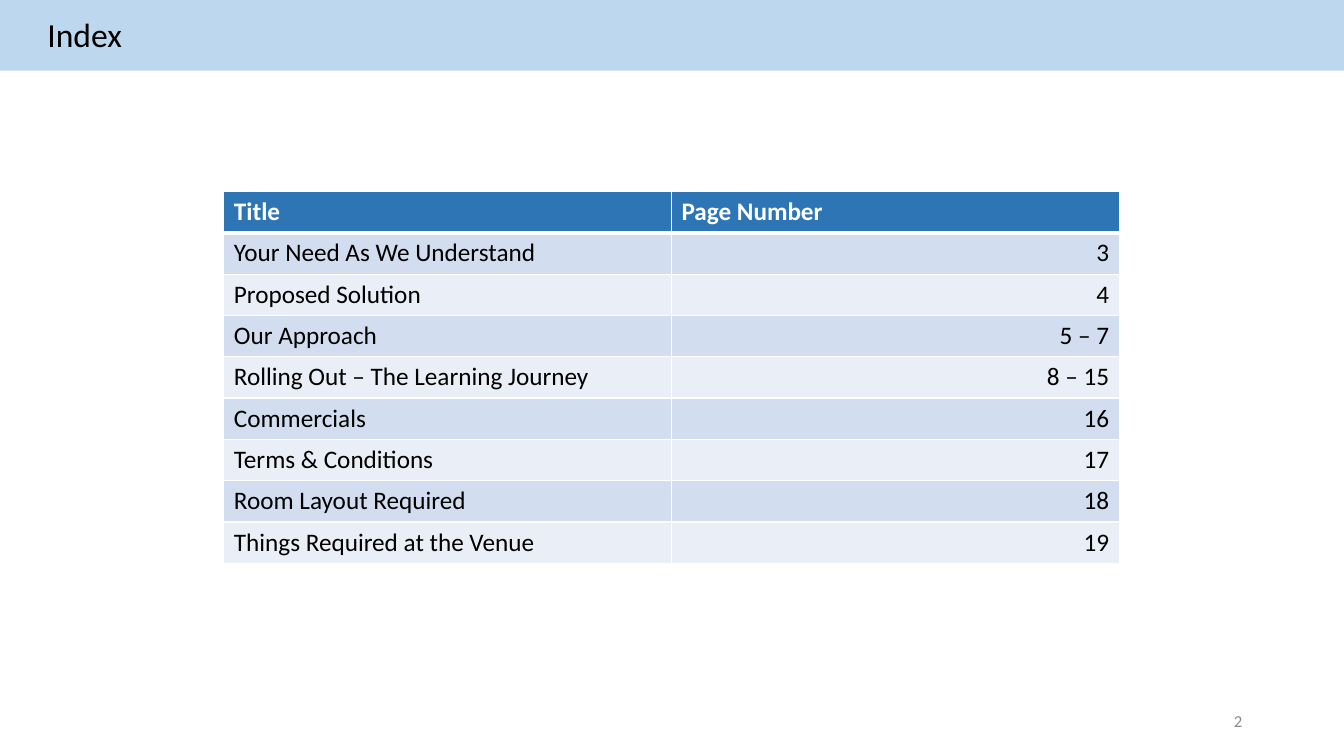
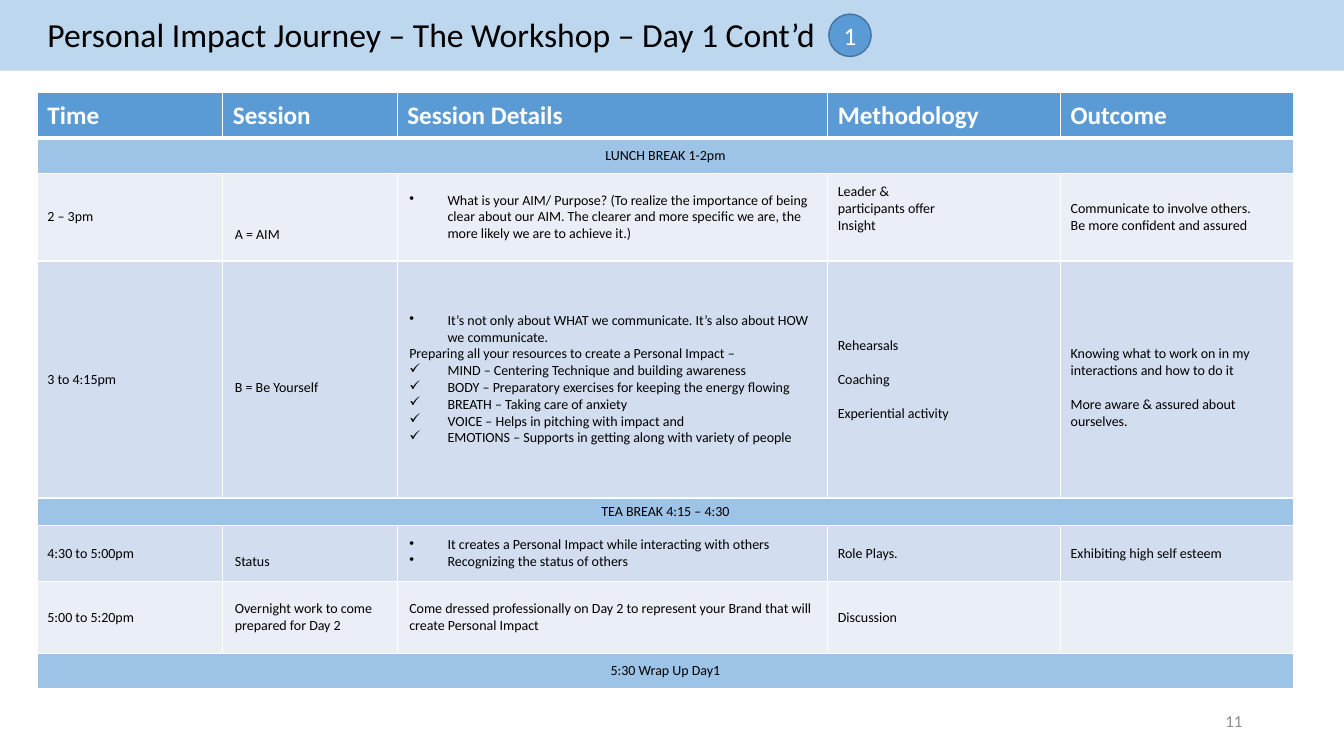
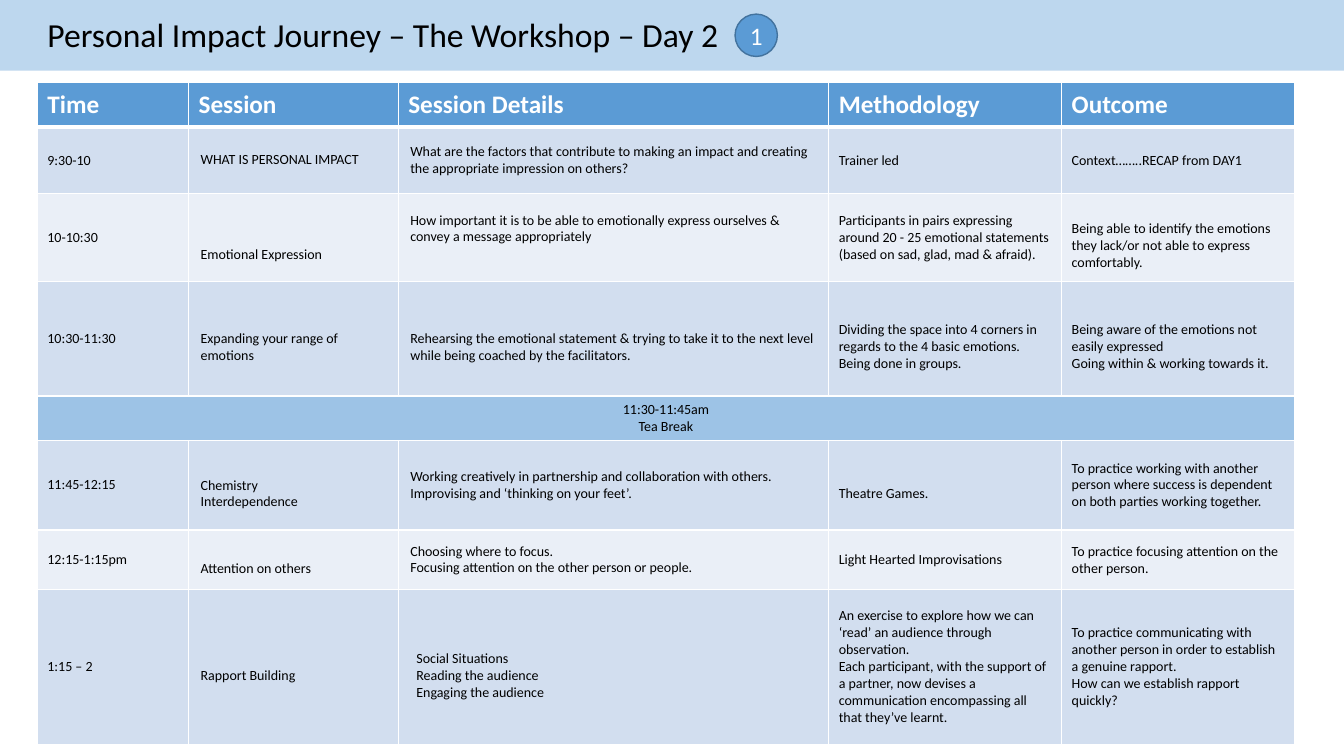
from lxml.etree import SubElement
from pptx import Presentation
from pptx.dml.color import RGBColor
from pptx.enum.shapes import MSO_SHAPE
from pptx.enum.text import MSO_ANCHOR, PP_ALIGN
from pptx.oxml import parse_xml
from pptx.oxml.ns import nsdecls, qn
from pptx.util import Inches, Pt

FONT = "Calibri"
BLACK = RGBColor(0x00, 0x00, 0x00)
WHITE = RGBColor(0xFF, 0xFF, 0xFF)
GRAY = RGBColor(0x8C, 0x8C, 0x8C)
TITLE_BAND = RGBColor(0xBD, 0xD7, 0xEE)
BLUE = RGBColor(0x5B, 0x9B, 0xD5)
DARK_BLUE = RGBColor(0x2E, 0x75, 0xB6)
BADGE_LINE = RGBColor(0x43, 0x73, 0x9E)
BREAK_ROW = RGBColor(0x9D, 0xC3, 0xE6)
STRIPES = (RGBColor(0xEA, 0xEF, 0xF7), RGBColor(0xD2, 0xDE, 0xEF))  # even, odd rows

LINE = 0.17  # height of one 10 pt line, in inches
PAD = 0.05
BULLETS = "•✓"
HANG = Inches(0.38)

INDEX = [
    ("Title", "Page Number"),
    ("Your Need As We Understand", "3"),
    ("Proposed Solution", "4"),
    ("Our Approach", "5 – 7"),
    ("Rolling Out – The Learning Journey", "8 – 15"),
    ("Commercials", "16"),
    ("Terms & Conditions", "17"),
    ("Room Layout Required", "18"),
    ("Things Required at the Venue", "19"),
]

# A cell is its text, or (text, lines it is pushed down; negative pushes up).
# A row with one cell spans the table. An empty line is a gap before the next
# paragraph; a leading ">" marks a small indent.
HEADER = ("Time", "Session", "Session Details", "Methodology", "Outcome")
DAY_1 = [
    HEADER,
    ("LUNCH BREAK 1-2pm",),
    ("2 – 3pm", ("A = AIM", 2),
     "•What is your AIM/ Purpose? (To realize the importance of being clear about our AIM. "
     "The clearer and more specific we are, the more likely we are to achieve it.)",
     ("Leader &\nparticipants offer\nInsight", -1),
     "Communicate to involve others.\nBe more confident and assured"),
    ("3 to 4:15pm", ("B = Be Yourself", 1),
     "•It’s not only about WHAT we communicate. It’s also about HOW we communicate.\n"
     "Preparing all your resources to create a Personal Impact –\n"
     "✓MIND – Centering Technique and building awareness\n"
     "✓BODY – Preparatory exercises for keeping the energy flowing\n"
     "✓BREATH – Taking care of anxiety\n"
     "✓VOICE – Helps in pitching with impact and\n"
     "✓EMOTIONS – Supports in getting along with variety of people",
     "Rehearsals\n\nCoaching\n\nExperiential activity",
     ("Knowing what to work on in my interactions and how to do it\n\n"
      "More aware & assured about ourselves.", 1)),
    ("TEA BREAK 4:15 – 4:30",),
    ("4:30 to 5:00pm", ("Status", 1),
     "•It creates a Personal Impact while interacting with others\n"
     "•Recognizing the status of others",
     "Role Plays.", "Exhibiting high self esteem"),
    ("5:00 to 5:20pm", "Overnight work to come prepared for Day 2",
     "Come dressed professionally on Day 2 to represent your Brand that will "
     "create Personal Impact",
     "Discussion", ""),
    ("5:30 Wrap Up Day1",),
]
DAY_2 = [
    HEADER,
    ("9:30-10", "WHAT IS PERSONAL IMPACT",
     "What are the factors that contribute to making an impact and creating "
     "the appropriate impression on others?",
     "Trainer led", "Context……..RECAP from DAY1"),
    ("10-10:30", ("Emotional Expression", 2),
     ("How important it is to be able to emotionally express ourselves & "
      "convey a message appropriately", -1),
     "Participants in pairs expressing around 20 - 25 emotional statements "
     "(based on sad, glad, mad & afraid).",
     ("Being able to identify the emotions they lack/or not able to express comfortably.", 1)),
    ("10:30-11:30", ("Expanding your range of emotions", 1),
     ("Rehearsing the emotional statement & trying to take it to the next level "
      "while being coached by the facilitators.", 1),
     ("Dividing the space into 4 corners in regards to the 4 basic emotions.\n"
      "Being done in groups.", 1),
     ("Being aware of the emotions not easily expressed\n"
      "Going within & working towards it.", 1)),
    ("11:30-11:45am\nTea Break",),
    ("11:45-12:15", ("Chemistry\nInterdependence", 1),
     "Working creatively in partnership and collaboration with others.\n"
     "Improvising and ‘thinking on your feet’.",
     ("Theatre Games.", 1),
     "To practice working with another person where success is dependent "
     "on both parties working together."),
    ("12:15-1:15pm", ("Attention on others", 1),
     "Choosing where to focus.\nFocusing attention on the other person or people.",
     "Light Hearted Improvisations",
     "To practice focusing attention on the other person."),
    ("1:15 – 2", ("Rapport Building", 1),
     (">Social Situations\n>Reading the audience\n>Engaging the audience", 1),
     "An exercise to explore how we can ‘read’ an audience through observation.\n"
     "Each participant, with the support of a partner, now devises a communication "
     "encompassing all that they’ve learnt.",
     "To practice communicating with another person in order to establish a genuine rapport.\n"
     "How can we establish rapport quickly?"),
]

SLIDES = [
    dict(title="Index", title_width=1, number="2", rows=INDEX,
         origin=(2.22, 1.9), cols=[4.44] * 2, heights=[0.41] * 9,
         header_fill=DARK_BLUE, size=18, anchor=MSO_ANCHOR.TOP, right_cols=[1]),
    dict(title="Personal Impact Journey – The Workshop – Day 1 Cont’d", title_width=8.56,
         badge_left=8.22, number="11", rows=DAY_1,
         origin=(0.37, 0.92), cols=[1.84, 1.73, 4.27, 2.31, 2.31],
         heights=[0.45, 0.35, 0.87, 2.35, 0.27, 0.56, 0.71, 0.35], wide_cols=[1, 2]),
    dict(title="Personal Impact Journey – The Workshop – Day 2", title_width=7,
         badge_left=7.29, number="12", rows=DAY_2,
         origin=(0.37, 0.82), cols=[1.5, 2.08, 4.27, 2.31, 2.31],
         heights=[0.44, 0.66, 0.87, 1.14, 0.44, 0.89, 0.59, 1.54], wide_cols=[1, 2]),
]


def style_font(p, size, color, bold=False):
    for r in p.runs:
        f = r.font
        f.name, f.size, f.bold = FONT, Pt(size), bold
        f.color.rgb = color


def write_line(tf, text, size, color, align):
    tf.text = text
    p = tf.paragraphs[0]
    p.alignment = align
    style_font(p, size, color)


def add_filled(slide, kind, box, fill):
    sp = slide.shapes.add_shape(kind, *map(Inches, box))
    sp.shadow.inherit = False
    sp.fill.solid()
    sp.fill.fore_color.rgb = fill
    sp.line.fill.background()
    return sp


def add_frame(prs, title, title_width, number, badge_left=None):
    """Add a slide with its title band, page number and optional badge."""
    slide = prs.slides.add_slide(prs.slide_layouts[5])
    band = add_filled(slide, MSO_SHAPE.RECTANGLE, (0, -0.02, 13.33, 0.72), TITLE_BAND)
    slide.shapes._spTree.insert(2, band._element)

    sp = slide.shapes.title
    sp.left, sp.top, sp.width, sp.height = map(Inches, (0.37, 0.09, title_width, 0.5))
    sp.text_frame.vertical_anchor = MSO_ANCHOR.TOP
    write_line(sp.text_frame, title, 24, BLACK, PP_ALIGN.LEFT)

    tf = slide.shapes.add_textbox(*map(Inches, (9.42, 6.95, 3, 0.4))).text_frame
    tf.word_wrap = True
    tf.vertical_anchor = MSO_ANCHOR.MIDDLE
    write_line(tf, number, 12, GRAY, PP_ALIGN.RIGHT)

    if badge_left:
        sp = add_filled(slide, MSO_SHAPE.OVAL, (badge_left, 0.14, 0.42, 0.42), BLUE)
        sp.line.color.rgb = BADGE_LINE
        sp.line.width = Pt(1)
        tf = sp.text_frame
        tf.margin_left = tf.margin_right = tf.margin_top = tf.margin_bottom = 0
        tf.vertical_anchor = MSO_ANCHOR.MIDDLE
        write_line(tf, "1", 18, WHITE, PP_ALIGN.CENTER)
    return slide


def set_borders(cell, bottom):
    tc_pr = cell._tc.get_or_add_tcPr()
    for i, (side, width) in enumerate(zip("LRTB", (1, 1, 1, bottom))):
        tc_pr.insert(i, parse_xml(
            f'<a:ln{side} {nsdecls("a")} w="{Pt(width)}"><a:solidFill>'
            f'<a:srgbClr val="{WHITE}"/></a:solidFill></a:ln{side}>'))


def fill_cell(cell, text, size, color, bold, align, exact):
    """Write the lines of a cell, with their bullets, indents and gaps."""
    tf = cell.text_frame
    gap = False
    for i, line in enumerate(text.split("\n")):
        if not line:
            gap = True
            continue
        p = tf.paragraphs[0] if i == 0 else tf.add_paragraph()
        p.alignment = align
        if exact:
            p.line_spacing = Pt(12)
        if gap:
            p.space_before = Pt(12)
            gap = False
        p_pr = p._p.get_or_add_pPr()
        if line[0] in BULLETS:
            p_pr.set("marL", str(HANG))
            p_pr.set("indent", str(-HANG))
            SubElement(p_pr, qn("a:buChar")).set("char", line[0])
        elif line[0] == ">":
            p_pr.set("marL", str(Inches(0.06)))
        p.text = line.lstrip(BULLETS + ">")
        style_font(p, size, color, bold)


def add_grid(slide, rows, origin, cols, heights, header_fill=BLUE, size=10,
             anchor=MSO_ANCHOR.MIDDLE, right_cols=(), wide_cols=()):
    """Add a striped table; wide_cols have wider side margins in the body."""
    box = (*origin, sum(cols), sum(heights))
    table = slide.shapes.add_table(len(rows), len(cols), *map(Inches, box)).table
    table.horz_banding = False
    for col, width in zip(table.columns, cols):
        col.width = Inches(width)
    for row, height in zip(table.rows, heights):
        row.height = Inches(height)

    for r, row in enumerate(rows):
        head, spans = r == 0, len(row) == 1
        fill = header_fill if head else BREAK_ROW if spans else STRIPES[r % 2]
        for c in range(len(cols)):
            cell = table.cell(r, c)
            cell.fill.solid()
            cell.fill.fore_color.rgb = fill
            set_borders(cell, 3 if head else 1)
            cell.vertical_anchor = anchor
        if spans:
            table.cell(r, 0).merge(table.cell(r, len(cols) - 1))
        for c, content in enumerate(row):
            text, push = content if isinstance(content, tuple) else (content, 0)
            cell = table.cell(r, c)
            wide = c in wide_cols and not head
            cell.margin_left = cell.margin_right = Inches(0.12 if wide else 0.1)
            cell.margin_top = Inches(PAD + LINE * max(push, 0))
            cell.margin_bottom = Inches(PAD + LINE * max(-push, 0))
            align = (PP_ALIGN.CENTER if spans else
                     PP_ALIGN.RIGHT if c in right_cols and not head else PP_ALIGN.LEFT)
            fill_cell(cell, text, 18 if head else size, WHITE if head else BLACK,
                      head, align, wide)


def main():
    prs = Presentation()
    prs.slide_width, prs.slide_height = Inches(13.33), Inches(7.5)
    frame_keys = ("title", "title_width", "number", "badge_left")
    for content in SLIDES:
        frame = {k: v for k, v in content.items() if k in frame_keys}
        grid = {k: v for k, v in content.items() if k not in frame_keys}
        add_grid(add_frame(prs, **frame), **grid)
    prs.save("out.pptx")


if __name__ == "__main__":
    main()
